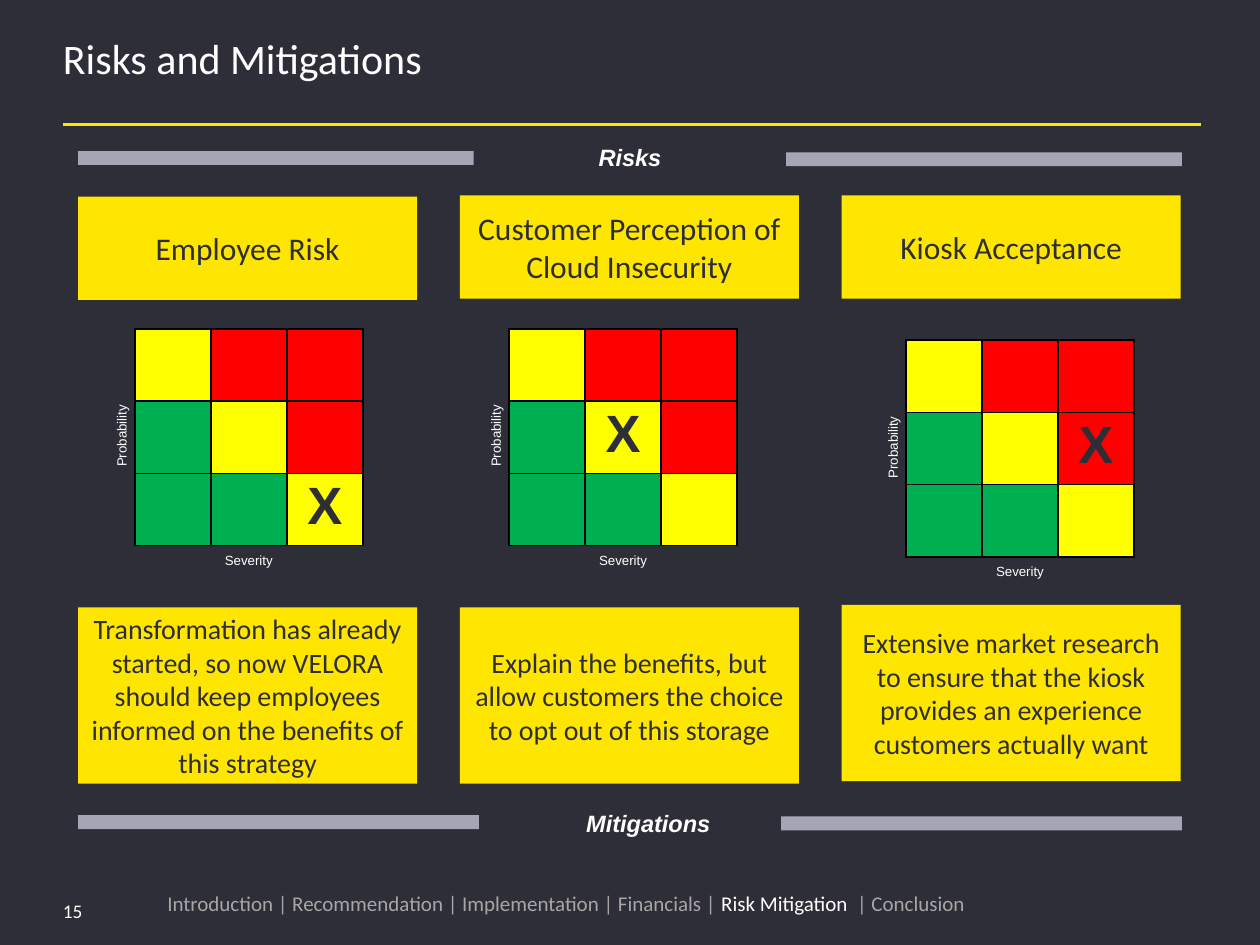
import pptx
import pptx.dml.color
import pptx.enum.shapes
import pptx.enum.text
import pptx.oxml
import pptx.oxml.ns
import pptx.util

Inches = pptx.util.Inches
RGBColor = pptx.dml.color.RGBColor
Align = pptx.enum.text.PP_ALIGN
Anchor = pptx.enum.text.MSO_ANCHOR

DARK = RGBColor(0x2E, 0x2E, 0x38)
ACCENT = RGBColor(0xFF, 0xE6, 0x00)
WHITE = RGBColor(0xFF, 0xFF, 0xFF)
BAR_GRAY = RGBColor(0xA5, 0xA5, 0xB5)
MUTED = RGBColor(0xA6, 0xA6, 0xA6)
YELLOW = RGBColor(0xFF, 0xFF, 0x00)
RED = RGBColor(0xFF, 0x00, 0x00)
GREEN = RGBColor(0x00, 0xB0, 0x50)

MATRIX_COLORS = [
    [YELLOW, RED, RED],
    [GREEN, YELLOW, RED],
    [GREEN, GREEN, YELLOW],
]
SMALL_INSETS = (0.07, 0.04)


def write_text(frame, text, *, size, color, font="Calibri", align=Align.LEFT,
               bold=False, italic=False, spacing=None):
    paragraph = frame.paragraphs[0]
    paragraph.alignment = align
    if spacing:
        paragraph.line_spacing = spacing
    run = paragraph.add_run()
    run.text = text
    run.font.name = font
    run.font.size = pptx.util.Pt(size)
    run.font.bold = bold
    run.font.italic = italic
    run.font.color.rgb = color


def set_frame(frame, insets, anchor):
    frame.word_wrap = True
    frame.vertical_anchor = anchor
    frame.margin_left = frame.margin_right = Inches(insets[0])
    frame.margin_top = frame.margin_bottom = Inches(insets[1])


class SlideBuilder:
    def __init__(self, presentation):
        self.slide = presentation.slides.add_slide(presentation.slide_layouts[6])
        self.slide.background.fill.solid()
        self.slide.background.fill.fore_color.rgb = DARK

    def add_rule(self, left, top, right):
        rule = self.slide.shapes.add_connector(
            pptx.enum.shapes.MSO_CONNECTOR.STRAIGHT,
            Inches(left), Inches(top), Inches(right), Inches(top))
        rule.line.color.rgb = ACCENT
        rule.line.width = pptx.util.Pt(1.5)
        properties = rule._element.spPr
        properties.append(pptx.oxml.parse_xml(
            f'<a:effectLst {pptx.oxml.ns.nsdecls("a")}/>'))

    def add_box(self, left, top, width, height, color):
        shape = self.slide.shapes.add_shape(
            pptx.enum.shapes.MSO_SHAPE.RECTANGLE,
            Inches(left), Inches(top), Inches(width), Inches(height))
        shape.shadow.inherit = False
        shape.fill.solid()
        shape.fill.fore_color.rgb = color
        shape.line.fill.background()
        set_frame(shape.text_frame, SMALL_INSETS, Anchor.MIDDLE)
        return shape

    def add_card(self, left, top, height, text, size):
        card = self.add_box(left, top, 2.69, height, ACCENT)
        write_text(card.text_frame, text, size=size, color=DARK, align=Align.CENTER)

    def add_label(self, left, top, width, height, text="", insets=SMALL_INSETS,
                  anchor=Anchor.TOP, rotation=0, **text_format):
        label = self.slide.shapes.add_textbox(
            Inches(left), Inches(top), Inches(width), Inches(height))
        label.rotation = rotation
        set_frame(label.text_frame, insets, anchor)
        if text:
            write_text(label.text_frame, text, **text_format)
        return label

    def add_heading(self, left, top, width, text):
        self.add_label(left, top, width, 0.48, text, anchor=Anchor.MIDDLE,
                       size=13.5, color=WHITE, font="Arial", align=Align.CENTER,
                       bold=True, italic=True)

    def add_border(self, cell):
        properties = cell._tc.get_or_add_tcPr()
        for side in "LRTB":
            properties.append(pptx.oxml.parse_xml(
                f'<a:ln{side} {pptx.oxml.ns.nsdecls("a")} w="12700"><a:solidFill>'
                f'<a:srgbClr val="000000"/></a:solidFill></a:ln{side}>'))

    def add_matrix(self, left, top, marked):
        table = self.slide.shapes.add_table(
            3, 3, Inches(left), Inches(top), Inches(1.81), Inches(1.72)).table
        table.first_row = table.horz_banding = False
        for column in table.columns:
            column.width = Inches(1.81 / 3)
        for row in table.rows:
            row.height = Inches(1.72 / 3)
        for row_index, colors in enumerate(MATRIX_COLORS):
            for column_index, color in enumerate(colors):
                cell = table.cell(row_index, column_index)
                self.add_border(cell)
                cell.fill.solid()
                cell.fill.fore_color.rgb = color
                cell.margin_left = cell.margin_right = Inches(0.06)
                cell.margin_top = cell.margin_bottom = Inches(0.03)
                if (row_index, column_index) == marked:
                    write_text(cell.text_frame, "X", size=30, color=DARK,
                               font="Arial", align=Align.CENTER, bold=True)
        axis_format = dict(size=7.6, color=WHITE, font="Arial", align=Align.CENTER)
        self.add_label(left + 0.23, top + 1.73, 1.35, 0.2, "Severity", **axis_format)
        self.add_label(left - 0.75, top + 0.75, 1.28, 0.2, "Probability",
                       rotation=270, **axis_format)


def main():
    presentation = pptx.Presentation()
    presentation.slide_width = Inches(10)
    presentation.slide_height = Inches(7.5)
    builder = SlideBuilder(presentation)

    builder.add_rule(0.5, 0.99, 9.53)
    builder.add_label(0.5, 0.32, 9, 0.65, "Risks and Mitigations", insets=(0, 0),
                      size=24, color=WHITE, spacing=0.85)
    builder.add_label(0.5, 7.13, 0.73, 0.2, "15", insets=(0, 0),
                      anchor=Anchor.MIDDLE, size=11, color=WHITE)

    columns = [
        ("Employee Risk", 1.56, 4.82, (1.07, 2.61), (2, 2),
         "Transformation has already started, so now VELORA should keep "
         "employees informed on the benefits of this strategy"),
        ("Customer Perception of Cloud Insecurity", 1.55, 4.82, (4.04, 2.61), (1, 1),
         "Explain the benefits, but allow customers the choice to opt out "
         "of this storage"),
        ("Kiosk Acceptance", 1.55, 4.8, (7.19, 2.7), (1, 2),
         "Extensive market research to ensure that the kiosk provides an "
         "experience customers actually want"),
    ]
    for index, (risk, risk_top, mitigation_top, matrix, marked, mitigation) in enumerate(columns):
        left = 0.62 + index * 3.03
        builder.add_card(left, risk_top, 0.82, risk, 18)
        builder.add_card(left, mitigation_top, 1.4, mitigation, 16)
        builder.add_matrix(*matrix, marked)

    for left, top, width in [(0.62, 1.2, 3.14), (6.24, 1.21, 3.14),
                             (0.62, 6.47, 3.18), (6.2, 6.48, 3.18)]:
        builder.add_box(left, top, width, 0.11, BAR_GRAY)
    builder.add_heading(4.6, 1.01, 0.8, "Risks")
    builder.add_heading(4.54, 6.29, 1.21, "Mitigations")

    footer = builder.add_label(1.23, 7.02, 8.77, 0.4, insets=(0.1, 0.05))
    for text, color in [
        ("Introduction | Recommendation | Implementation | Financials | ", MUTED),
        ("Risk Mitigation  ", WHITE),
        ("| Conclusion", MUTED),
    ]:
        write_text(footer.text_frame, text, size=12, color=color)

    presentation.save("out.pptx")


if __name__ == "__main__":
    main()
